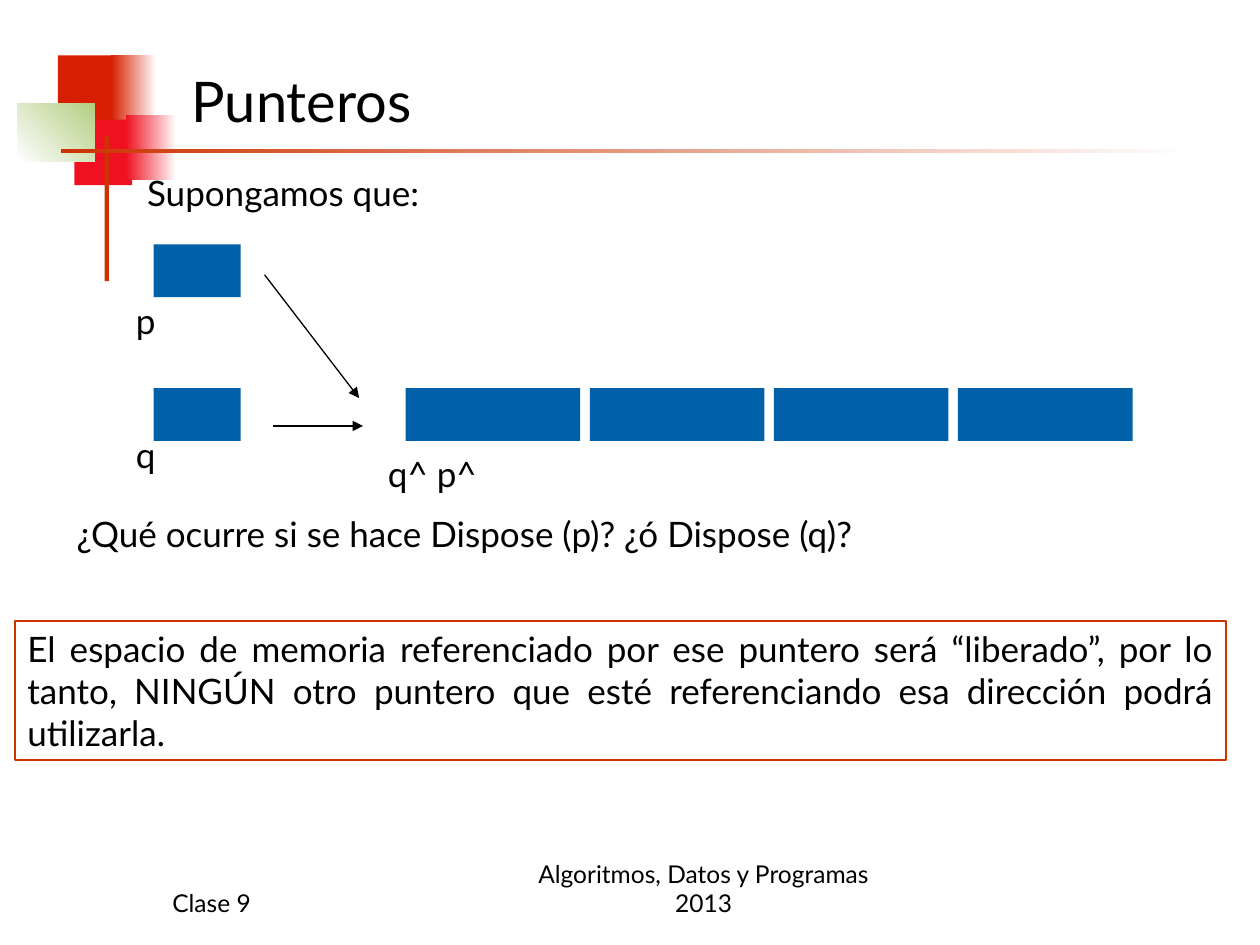
import pptx
import pptx.dml.color
import pptx.enum.shapes
import pptx.enum.text
import pptx.oxml.ns
import pptx.util
from lxml import etree

Pt = pptx.util.Pt
ALIGN = pptx.enum.text.PP_ALIGN
ANCHOR = pptx.enum.text.MSO_ANCHOR
RECT = pptx.enum.shapes.MSO_SHAPE.RECTANGLE
STRAIGHT = pptx.enum.shapes.MSO_CONNECTOR.STRAIGHT

FONT = "Lato"
BLACK, ACCENT, NODE = "000000", "CC3300", "0060A8"

DECORATION = [
    ((33.1, 31.7, 34.6, 37.4), ("D61F00",), 0),
    ((63.4, 31.7, 25.9, 37.4), ("D61F00", "FFFFFF"), 0),
    ((42.5, 68.4, 33.1, 37.4), ("EF1121",), 0),
    ((72, 65.5, 28.8, 37.4), ("EF1121", "FFFFFF"), 0),
    ((10, 59, 44, 33.5), ("FFFFFF", "B3CE82"), 45),
    ((59.8, 77.8, 2.4, 82.8), (ACCENT,), 0),
    ((34.6, 85, 648, 2.4), (ACCENT, "FFFFFF"), 0),
]
TITLE = ("Punteros", (102.2, 16.6, 595.4, 81.4))
CONCLUSION = (
    "El espacio de memoria referenciado por ese puntero será “liberado”, por lo "
    "tanto, NINGÚN otro puntero que esté referenciando esa dirección podrá utilizarla.",
    (8.6, 355, 692, 79.2),
)
LABELS = [
    ("q", (70.6, 244.1, 38.9, 31.7), {}),
    ("p", (70.6, 167.8, 38.9, 31.7), {}),
    ("q^", (214.6, 254.9, 55.4, 31.7), {}),
    ("p^", (242.6, 254.9, 55.4, 31.7), {}),
    ("Supongamos que:", (77, 94.3, 566.6, 31.7), {}),
    ("¿Qué ocurre si se hace Dispose (p)? ¿ó Dispose (q)?",
     (36.7, 289.4, 566.6, 31.7), {}),
    ("Clase 9", (91.4, 491.8, 149.8, 36),
     {"size": 14, "anchor": ANCHOR.BOTTOM}),
    ("Algoritmos, Datos y Programas 2013", (288, 491.8, 228.2, 36),
     {"size": 14, "anchor": ANCHOR.BOTTOM, "align": ALIGN.CENTER}),
]
POINTER_LEFT, POINTER_WIDTH, POINTER_TOPS = 87.8, 49.7, (139.7, 221.8)
NODE_LEFT, NODE_WIDTH, NODE_PITCH, NODE_COUNT = 231.8, 99.8, 105.2, 4
NODE_TOP, NODE_HEIGHT = POINTER_TOPS[1], 30.2
ARROWS = [((156.2, 243.4), (207.4, 243.4)), ((151.2, 157), (205.2, 227.5))]


def rgb(code):
    """Turn a hex string into a colour."""
    return pptx.dml.color.RGBColor.from_string(code)


def write(sp, text, size=20, align=ALIGN.LEFT, anchor=ANCHOR.TOP):
    """Put formatted text into a shape."""
    tf = sp.text_frame
    tf.word_wrap = True
    tf.auto_size = pptx.enum.text.MSO_AUTO_SIZE.NONE
    tf.vertical_anchor = anchor
    p = tf.paragraphs[0]
    p.alignment = align
    r = p.add_run()
    r.text = text
    r.font.name, r.font.size = FONT, Pt(size)
    r.font.color.rgb = rgb(BLACK)


def add_rect(slide, box, colors=(), angle=0, outline=None):
    """Add a rectangle with no fill, a plain fill or a two-colour gradient."""
    sp = slide.shapes.add_shape(RECT, *map(Pt, box))
    sp.shadow.inherit = False
    if len(colors) == 2:
        sp.fill.gradient()
        sp.fill.gradient_angle = angle
        for stop, color, position in zip(sp.fill.gradient_stops, colors, (0, 1)):
            stop.color.rgb, stop.position = rgb(color), position
    elif colors:
        sp.fill.solid()
        sp.fill.fore_color.rgb = rgb(colors[0])
    else:
        sp.fill.background()
    if outline:
        sp.line.color.rgb, sp.line.width = rgb(outline), Pt(1)
    else:
        sp.line.fill.background()
    return sp


def add_arrow(slide, start, end):
    """Add a thin black line with an arrowhead at its end."""
    line = slide.shapes.add_connector(STRAIGHT, *map(Pt, start + end))
    line.line.color.rgb, line.line.width = rgb(BLACK), Pt(0.75)
    qn = pptx.oxml.ns.qn
    etree.SubElement(line.line._get_or_add_ln(), qn("a:tailEnd"), type="triangle")
    etree.SubElement(line._element.spPr, qn("a:effectLst"))


def main():
    """Build the slide on pointers and save it."""
    prs = pptx.Presentation()
    prs.slide_width, prs.slide_height = Pt(720), Pt(540)
    slide = prs.slides.add_slide(prs.slide_layouts[5])

    for box, colors, angle in DECORATION:
        add_rect(slide, box, colors, angle)

    text, box = TITLE
    title = slide.shapes.title
    title.left, title.top, title.width, title.height = map(Pt, box)
    write(title, text, size=32, anchor=ANCHOR.MIDDLE)

    cells = [(POINTER_LEFT, top, POINTER_WIDTH) for top in POINTER_TOPS]
    cells += [(NODE_LEFT + i * NODE_PITCH, NODE_TOP, NODE_WIDTH)
              for i in range(NODE_COUNT)]
    for cell in cells:
        add_rect(slide, cell + (NODE_HEIGHT,), (NODE,))

    for start, end in ARROWS:
        add_arrow(slide, start, end)

    text, box = CONCLUSION
    write(add_rect(slide, box, outline=ACCENT), text, align=ALIGN.JUSTIFY)

    for text, box, style in LABELS:
        write(slide.shapes.add_textbox(*map(Pt, box)), text, **style)

    prs.save("out.pptx")


if __name__ == "__main__":
    main()
